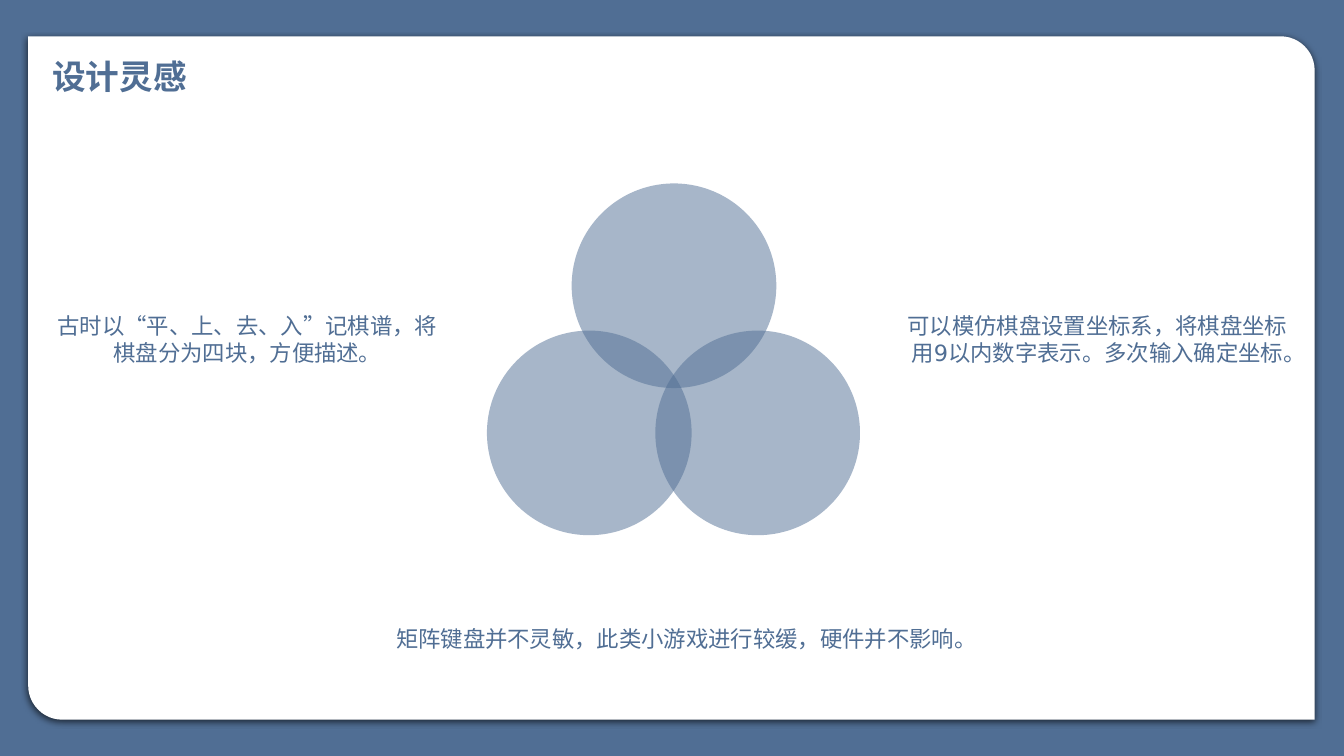
"""Build the design inspiration slide with three overlapping circles."""
from dataclasses import dataclass

from lxml import etree
from pptx import Presentation
from pptx.dml.color import RGBColor
from pptx.enum.lang import MSO_LANGUAGE_ID
from pptx.enum.shapes import MSO_SHAPE
from pptx.enum.text import MSO_AUTO_SIZE, PP_ALIGN
from pptx.oxml.ns import qn
from pptx.shapes.autoshape import Shape
from pptx.slide import Slide
from pptx.util import Inches, Pt

PANEL = MSO_SHAPE.ROUND_2_DIAG_RECTANGLE
CIRCLE = MSO_SHAPE.OVAL
LEFT, CENTER = PP_ALIGN.LEFT, PP_ALIGN.CENTER
GROW = MSO_AUTO_SIZE.SHAPE_TO_FIT_TEXT
CHINESE = MSO_LANGUAGE_ID.SIMPLIFIED_CHINESE
FONT = "DejaVu Sans"
COLORS = {"blue": "506E94", "white": "FFFFFF", "shadow": "000000"}
DIAMETER = 2.03


@dataclass
class Label:
    text: str
    left: float
    top: float
    width: float
    height: float
    size: int = 16
    bold: bool = False
    align: PP_ALIGN = CENTER


@dataclass
class Circle:
    left: float
    top: float


LABELS = [
    Label("设计灵感", 0.42, 0.51, 5.66, 0.5, 24, True, LEFT),
    Label("古时以“平、上、去、入”记棋谱，将棋盘分为四块，方便描述。", 0.46, 3.05, 3.99, 0.64),
    Label("可以模仿棋盘设置坐标系，将棋盘坐标用9以内数字表示。多次输入确定坐标。",
          8.89, 3.05, 3.99, 0.64),
    Label("矩阵键盘并不灵敏，此类小游戏进行较缓，硬件并不影响。", 2.01, 6.15, 9.6, 0.37),
]
CIRCLES = [Circle(5.67, 1.82), Circle(4.83, 3.28), Circle(6.5, 3.28)]


def rgb(name: str) -> RGBColor:
    """Return a named colour."""
    return RGBColor.from_string(COLORS[name])


def add_filled(s: Slide, kind: MSO_SHAPE, left: float, top: float,
               width: float, height: float, color: str) -> Shape:
    """Add a borderless shape with a solid fill."""
    sp = s.shapes.add_shape(kind, Inches(left), Inches(top), Inches(width), Inches(height))
    sp.shadow.inherit = False
    sp.fill.solid()
    sp.fill.fore_color.rgb = rgb(color)
    sp.line.fill.background()
    return sp


def set_alpha(color: etree._Element, percent: int) -> None:
    """Set the opacity of a colour element."""
    etree.SubElement(color, qn("a:alpha"), val=str(percent * 1000))


def add_panel(s: Slide) -> None:
    """Add the white panel with two rounded corners and a soft shadow."""
    sp = add_filled(s, PANEL, 0.28, 0.36, 12.76, 6.78, "white")
    sp.adjustments[0] = 0
    sp.adjustments[1] = 0.05
    effects = sp._element.spPr.find(qn("a:effectLst"))
    shadow = etree.SubElement(effects, qn("a:outerShdw"), blurRad=str(Pt(4.5)),
                              dist=str(Pt(1.5)), dir="5400000", rotWithShape="0")
    set_alpha(etree.SubElement(shadow, qn("a:srgbClr"), val=COLORS["shadow"]), 63)


def add_circle(s: Slide, circle: Circle) -> None:
    """Add one half-transparent circle."""
    sp = add_filled(s, CIRCLE, circle.left, circle.top, DIAMETER, DIAMETER, "blue")
    set_alpha(sp._element.spPr.find(qn("a:solidFill"))[0], 50)


def add_label(s: Slide, label: Label) -> None:
    """Add one text box."""
    sp = s.shapes.add_textbox(Inches(label.left), Inches(label.top),
                              Inches(label.width), Inches(label.height))
    tf = sp.text_frame
    tf.word_wrap = True
    tf.auto_size = GROW
    tf.text = label.text
    p = tf.paragraphs[0]
    p.alignment = label.align
    r = p.runs[0]
    r.font.name = FONT
    r.font.size = Pt(label.size)
    r.font.bold = label.bold
    r.font.color.rgb = rgb("blue")
    r.font.language_id = CHINESE


def main() -> None:
    """Build and save the slide."""
    prs = Presentation()
    prs.slide_width, prs.slide_height = Inches(13.33), Inches(7.5)
    s = prs.slides.add_slide(prs.slide_layouts[6])
    s.background.fill.solid()
    s.background.fill.fore_color.rgb = rgb("blue")
    add_panel(s)
    for circle in CIRCLES:
        add_circle(s, circle)
    for label in LABELS:
        add_label(s, label)
    prs.save("out.pptx")


if __name__ == "__main__":
    main()
